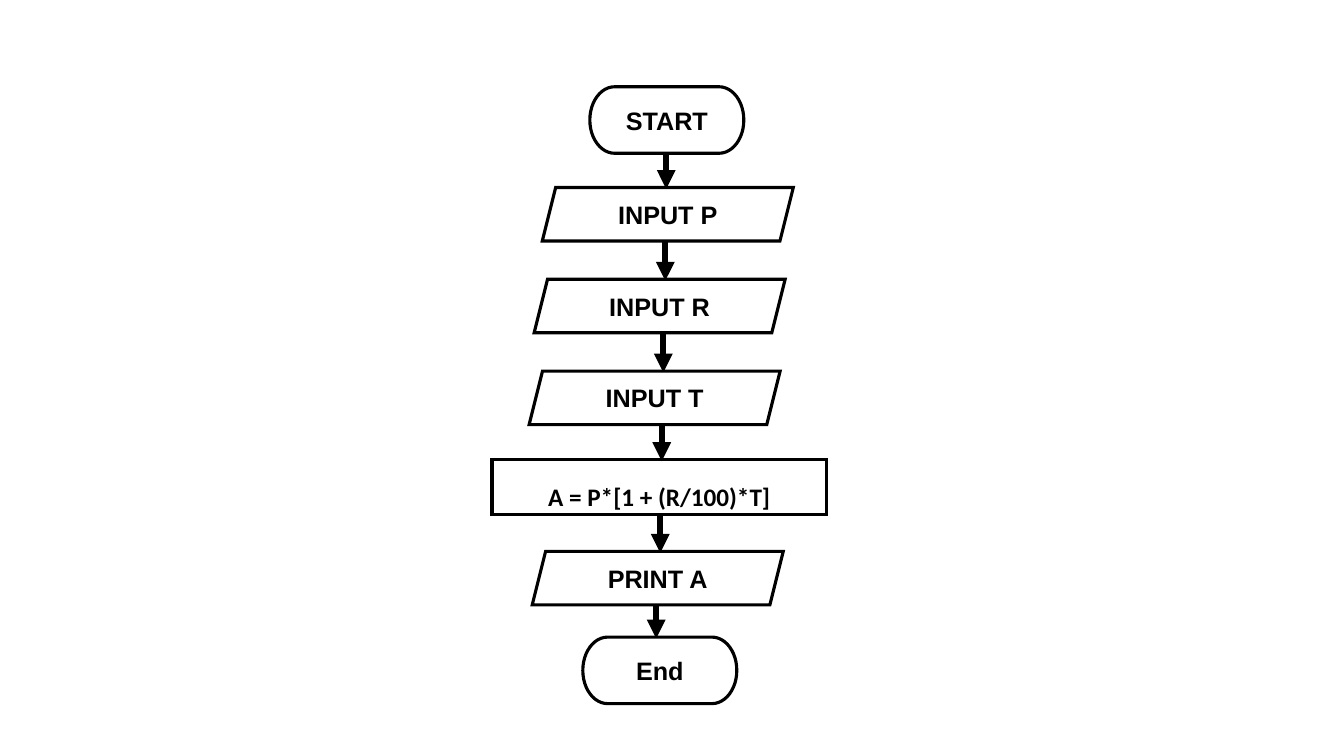
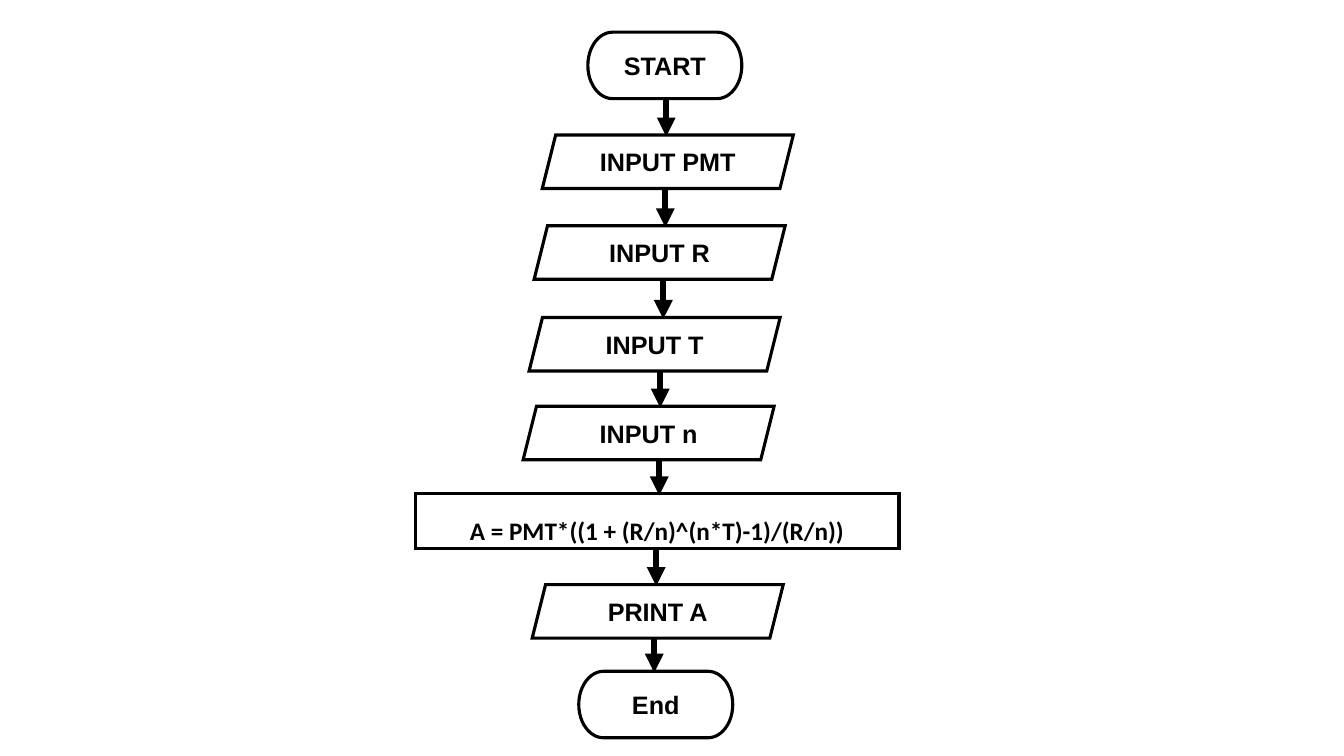
import pptx
import pptx.util
import pptx.dml.color
import pptx.enum.shapes
import pptx.enum.text
import pptx.oxml
import pptx.oxml.ns
from collections import namedtuple

Pt = pptx.util.Pt
SHAPE = pptx.enum.shapes.MSO_SHAPE
qn = pptx.oxml.ns.qn

BLACK = pptx.dml.color.RGBColor(0x00, 0x00, 0x00)
WHITE = pptx.dml.color.RGBColor(0xFF, 0xFF, 0xFF)

Kind = namedtuple("Kind", "shape width height font wrap")
Step = namedtuple("Step", "kind text dx top arrow_dx width", defaults=(None, None))

TERMINAL = Kind(SHAPE.FLOWCHART_TERMINATOR, 110, 47.5, "Arial", False)
DATA = Kind(SHAPE.PARALLELOGRAM, 179.3, 38.2, "Arial", True)
PROCESS = Kind(SHAPE.RECTANGLE, 239, 38.9, "Calibri", True)

SIMPLE_INTEREST = [
    Step(TERMINAL, "START", 6.3, 0, 5.9),
    Step(DATA, "INPUT P", 7, 72, 5.2),
    Step(DATA, "INPUT R", 1.2, 137.5, 3.8),
    Step(DATA, "INPUT T", -2.4, 203.1, 2.7),
    Step(PROCESS, "A = P*[1 + (R/100)*T]", 0.9, 266.4, 1.6),
    Step(DATA, "PRINT A", -0.2, 331.9, -1.3),
    Step(TERMINAL, "End", 1.3, 393.1),
]
ANNUITY = [
    Step(TERMINAL, "START", 4.9, 0, 5.9),
    Step(DATA, "INPUT PMT", 7, 73.5, 5.2),
    Step(DATA, "INPUT R", 1.2, 138.3, 3.8),
    Step(DATA, "INPUT T", -2.4, 203.8, 1.6),
    Step(DATA, "INPUT n", -6.7, 267.2, 0.9),
    Step(PROCESS, "A = PMT*((1 + (R/n)^(n*T)-1)/(R/n))", -0.6, 329.8, -1.3, 345.6),
    Step(DATA, "PRINT A", -0.2, 394.6, -2.7),
    Step(TERMINAL, "End", -1.6, 456.5),
]


def add_to_line(shape, tag, **attrs):
    ln = shape._element.spPr.find(qn("a:ln"))
    el = pptx.oxml.parse_xml(f"<a:{tag} {pptx.oxml.ns.nsdecls('a')}/>")
    for name, value in attrs.items():
        el.set(name, value)
    ln.append(el)


def add_node(s, axis, top, step):
    kind = step.kind
    width = step.width or kind.width
    sp = s.shapes.add_shape(
        kind.shape, Pt(axis + step.dx - width / 2), Pt(top + step.top),
        Pt(width), Pt(kind.height))
    sp.shadow.inherit = False
    sp.fill.solid()
    sp.fill.fore_color.rgb = WHITE
    sp.line.color.rgb = BLACK
    sp.line.width = Pt(2.25)
    add_to_line(sp, "miter", lim="800000")
    tf = sp.text_frame
    tf.word_wrap = kind.wrap
    tf.vertical_anchor = pptx.enum.text.MSO_ANCHOR.MIDDLE
    if kind is PROCESS:
        tf.margin_top, tf.margin_bottom = Pt(14), Pt(0)
    p = tf.paragraphs[0]
    p.alignment = pptx.enum.text.PP_ALIGN.CENTER
    r = p.add_run()
    r.text = step.text
    r.font.name = kind.font
    r.font.size = Pt(18)
    r.font.bold = True
    r.font.color.rgb = BLACK


def add_arrow(s, x, y1, y2):
    cn = s.shapes.add_connector(
        pptx.enum.shapes.MSO_CONNECTOR.STRAIGHT, Pt(x), Pt(y1), Pt(x), Pt(y2))
    cn.line.color.rgb = BLACK
    cn.line.width = Pt(4.5)
    add_to_line(cn, "tailEnd", type="triangle")
    cn._element.spPr.append(
        pptx.oxml.parse_xml(f"<a:effectLst {pptx.oxml.ns.nsdecls('a')}/>"))


def add_flowchart(s, left, top, width, steps):
    axis = left + width / 2
    for step in steps:
        if step.kind is PROCESS:
            add_node(s, axis, top, step)
    for step, following in zip(steps, steps[1:]):
        bottom = top + step.top + step.kind.height
        add_arrow(s, axis + step.arrow_dx, bottom, top + following.top + 1)
    for step in steps:
        if step.kind is not PROCESS:
            add_node(s, axis, top, step)


def main():
    prs = pptx.Presentation()
    prs.slide_width, prs.slide_height = Pt(960), Pt(540)
    for top, steps in ((62, SIMPLE_INTEREST), (23, ANNUITY)):
        s = prs.slides.add_slide(prs.slide_layouts[6])
        add_flowchart(s, 290, top, 360, steps)
    prs.save("out.pptx")


if __name__ == "__main__":
    main()
